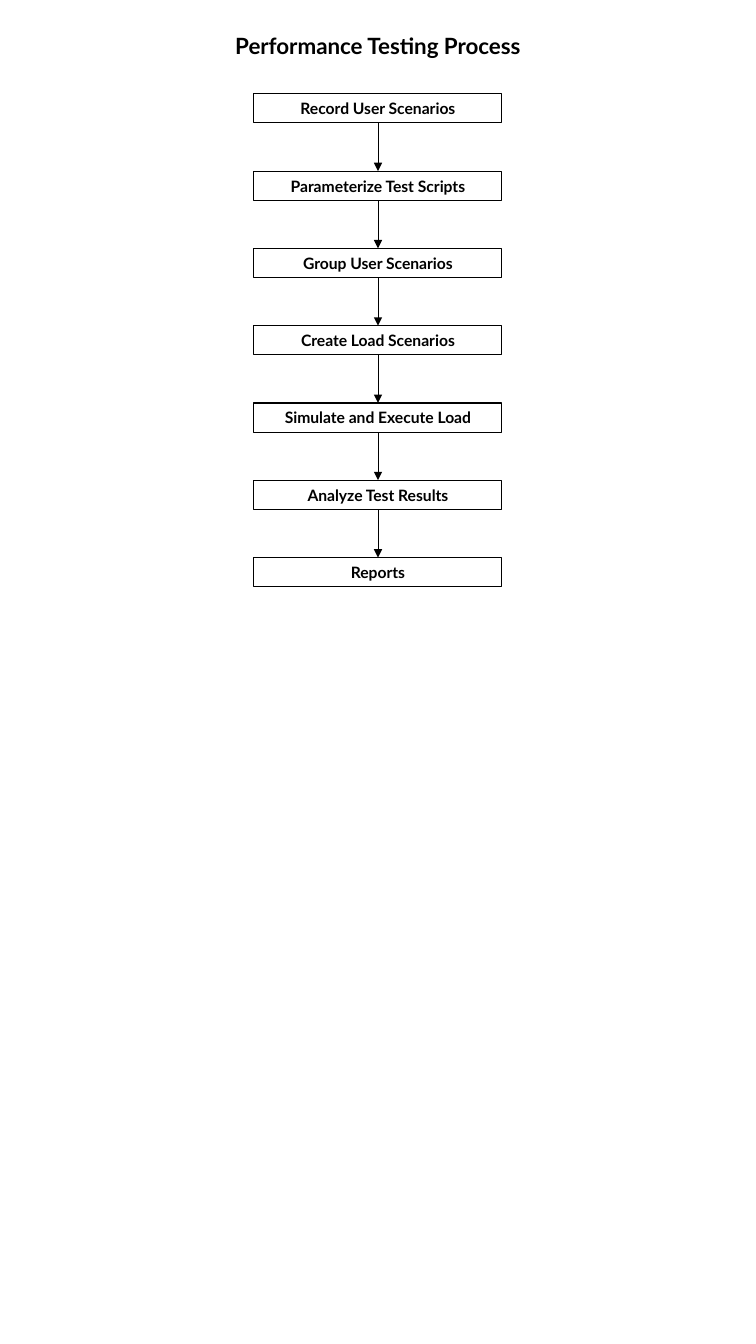
from lxml import etree
from pptx import Presentation
from pptx.dml.color import RGBColor
from pptx.enum import shapes, text
from pptx.oxml import ns
from pptx.util import Inches, Pt

BLACK = RGBColor(0, 0, 0)
SLIDE_WIDTH, SLIDE_HEIGHT = 7.5, 13.33
STEP_WIDTH, STEP_HEIGHT = 2.46, 0.29
FIRST_TOP, LAST_TOP = 0.93, 5.53
TOP_SITE, BOTTOM_SITE = 0, 2
STEPS = [
    "Record User Scenarios",
    "Parameterize Test Scripts",
    "Group User Scenarios",
    "Create Load Scenarios",
    "Simulate and Execute Load",
    "Analyze Test Results",
    "Reports",
]


class Flowchart:
    """Draws flowchart elements in one style on one slide."""

    font_name = "Lato"
    color = BLACK

    def __init__(self, slide):
        """Keep the slide to draw on."""
        self.slide = slide

    def label(self, shape, wording, size):
        """Put bold centred wording in a shape."""
        frame = shape.text_frame
        frame.word_wrap = True
        frame.auto_size = text.MSO_AUTO_SIZE.SHAPE_TO_FIT_TEXT
        frame.vertical_anchor = text.MSO_ANCHOR.MIDDLE
        paragraph = frame.paragraphs[0]
        paragraph.alignment = text.PP_ALIGN.CENTER
        run = paragraph.add_run()
        run.text = wording
        run.font.name = self.font_name
        run.font.size = Pt(size)
        run.font.bold = True
        run.font.color.rgb = self.color

    def title(self, wording, top, width, height):
        """Add a title centred across the slide."""
        left = (SLIDE_WIDTH - width) / 2
        heading = self.slide.shapes.add_textbox(
            Inches(left), Inches(top), Inches(width), Inches(height))
        self.label(heading, wording, 16)

    def step(self, wording, top):
        """Add an outlined step box centred across the slide."""
        left = (SLIDE_WIDTH - STEP_WIDTH) / 2
        box = self.slide.shapes.add_shape(
            shapes.MSO_SHAPE.RECTANGLE, Inches(left), Inches(top),
            Inches(STEP_WIDTH), Inches(STEP_HEIGHT))
        box.shadow.inherit = False
        box.fill.background()
        box.line.color.rgb = self.color
        box.line.width = Pt(0.75)
        self.label(box, wording, 11.2)
        return box

    def arrow(self, upper, lower):
        """Connect one step to the next with an arrow."""
        link = self.slide.shapes.add_connector(
            shapes.MSO_CONNECTOR.STRAIGHT, 0, 0, 0, 0)
        link.begin_connect(upper, BOTTOM_SITE)
        link.end_connect(lower, TOP_SITE)
        link.line.color.rgb = self.color
        link.line.width = Pt(0.5)
        properties = link._element.spPr
        outline = properties.find(ns.qn("a:ln"))
        etree.SubElement(outline, ns.qn("a:tailEnd"), type="triangle")
        etree.SubElement(properties, ns.qn("a:effectLst"))


def main():
    """Build and save the process slide."""
    deck = Presentation()
    deck.slide_width = Inches(SLIDE_WIDTH)
    deck.slide_height = Inches(SLIDE_HEIGHT)
    blank_layout = deck.slide_layouts[6]
    chart = Flowchart(deck.slides.add_slide(blank_layout))

    chart.title("Performance Testing Process", 0.27, 3.59, 0.37)
    pitch = (LAST_TOP - FIRST_TOP) / (len(STEPS) - 1)
    boxes = [chart.step(wording, FIRST_TOP + index * pitch)
             for index, wording in enumerate(STEPS)]
    for upper, lower in zip(boxes, boxes[1:]):
        chart.arrow(upper, lower)

    deck.save("out.pptx")


main()
